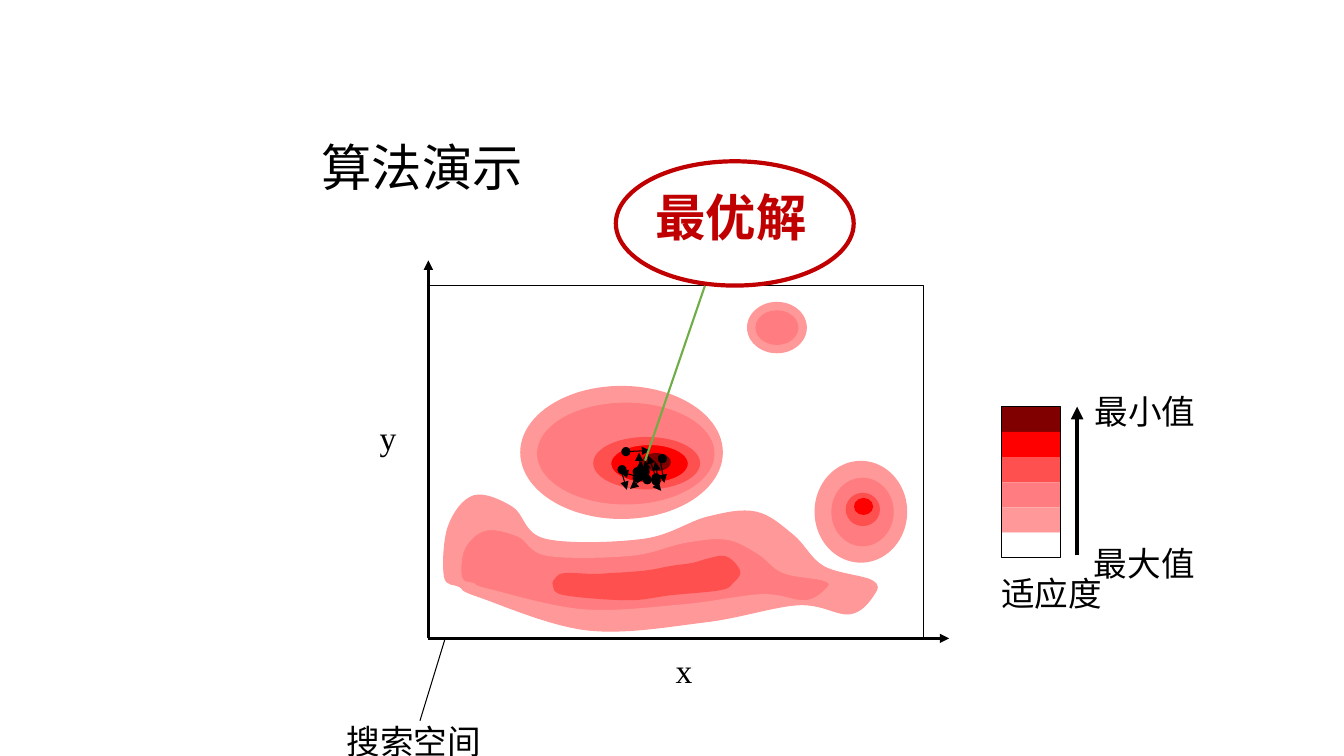
from dataclasses import dataclass
from typing import Optional

import pptx
import pptx.dml.color
import pptx.enum.shapes
import pptx.enum.text
import pptx.oxml
import pptx.oxml.ns
import pptx.util
from lxml import etree

Pt = pptx.util.Pt
RGB = pptx.dml.color.RGBColor
MSO = pptx.enum.shapes.MSO_SHAPE
ALIGN = pptx.enum.text.PP_ALIGN
qn = pptx.oxml.ns.qn

BLACK = RGB(0x00, 0x00, 0x00)
WHITE = RGB(0xFF, 0xFF, 0xFF)
MAROON = RGB(0x80, 0x00, 0x00)
RED = RGB(0xFF, 0x00, 0x00)
CORAL = RGB(0xFF, 0x50, 0x50)
SALMON = RGB(0xFF, 0x7C, 0x80)
PINK = RGB(0xFF, 0x99, 0x99)
CRIMSON = RGB(0xC0, 0x00, 0x00)
GREEN = RGB(0x70, 0xAD, 0x47)


@dataclass
class Box:
    x: float
    y: float
    w: float
    h: float
    fill: Optional[RGB] = None
    line: Optional[RGB] = None
    weight: float = 0.75
    kind: MSO = MSO.OVAL


@dataclass
class Line:
    x1: float
    y1: float
    x2: float
    y2: float
    weight: float = 0.75
    head: Optional[str] = "triangle"
    color: RGB = BLACK


@dataclass
class Label:
    text: str
    x: float
    y: float
    w: float
    h: float
    font: str = "Times New Roman"
    size: float = 24
    color: RGB = BLACK
    bold: bool = False
    wrap: bool = False
    align: ALIGN = ALIGN.LEFT


@dataclass
class Ridge:
    fill: RGB
    line: RGB
    knots: list[tuple[float, float]]


@dataclass
class Agent:
    dot: tuple[float, float]
    start: tuple[float, float]
    tip: tuple[float, float]


SEARCH_AREA = Box(306, 204, 354, 252, WHITE, BLACK, kind=MSO.RECTANGLE)
RIGHT_PEAK = [
    Box(581.8, 329.2, 66.2, 72.7, PINK),
    Box(593.8, 341.2, 44.6, 49, SALMON),
    Box(604.1, 352, 24.5, 23.8, CORAL),
    Box(610, 355.7, 13.7, 12.2, RED),
]
AXES = [Line(306, 456, 306, 186, 2.25), Line(306, 456, 678, 456, 2.25)]
TOP_PEAK = [
    Box(534, 216, 42, 36, PINK, PINK),
    Box(540, 222, 30, 24, SALMON, SALMON),
]
RIDGES = [
    Ridge(PINK, PINK, [
        (342, 426.2), (419.8, 450), (504, 444.2), (570.2, 432), (607, 438.5), (624.2, 424.8),
        (622.8, 414.7), (588.2, 404.6), (566.6, 382.3), (540, 365.8), (505.4, 369.4),
        (460.1, 385.2), (389.5, 385.2), (365.8, 362.2), (338.4, 354.2), (320.4, 375.8),
        (317.5, 411.8), (328.3, 419)]),
    Ridge(SALMON, PINK, [
        (349.9, 421.2), (416.9, 435.6), (488.2, 432), (544.3, 424.8), (575.3, 429.1),
        (590.4, 420.5), (589, 414.7), (559.4, 409), (541.4, 395.3), (519.1, 385.2),
        (489.6, 387.4), (450.7, 396.7), (391, 396.7), (370.1, 383), (347, 378.7),
        (331.9, 391.7), (329.8, 412.6), (338.4, 416.9)]),
    Ridge(CORAL, CORAL, [
        (403.2, 424.8), (448.6, 428.4), (479.5, 424.8), (514.8, 421.2), (523.4, 416.2),
        (528.5, 409), (523.4, 401), (516.2, 397.4), (504.7, 399.6), (494.6, 402.5),
        (479.5, 404.6), (464.4, 407.5), (449.3, 409), (436.3, 409.7), (424.1, 410.4),
        (403.9, 409.7), (397.4, 412.6), (395.3, 418.3)]),
]
MAIN_PEAK = [
    Box(372, 276, 144, 94.3, PINK, PINK),
    Box(384, 288, 126, 72, SALMON, SALMON),
    Box(424.1, 312.5, 75.6, 36.7, CORAL, CORAL),
    Box(436.3, 317.5, 55.4, 27.4, RED, CORAL),
    Box(458.6, 324, 20.2, 12.2, MAROON, MAROON),
]
DOT = 5.8
SWARM = [
    Agent((457.9, 334.1), (463.7, 340.6), (472.3, 350.6)),
    Agent((470.2, 324.7), (471.6, 328.3), (474.5, 344.9)),
    Agent((457.9, 337.7), (460.1, 340.6), (450, 349.2)),
    Agent((452.2, 338.4), (456.5, 342), (457.9, 329)),
    Agent((465.8, 340.6), (470.2, 343.4), (468, 329.8)),
    Agent((465.8, 338.4), (468.7, 341.3), (463, 325.4)),
    Agent((441.4, 332.6), (443.5, 335.5), (447.8, 349.9)),
    Agent((453.6, 337.7), (456.5, 340.6), (442.8, 337)),
    Agent((459.4, 339.8), (463, 342), (460.8, 329)),
    Agent((452.2, 334.1), (456.5, 336.2), (456.5, 323.3)),
    Agent((444.2, 319.7), (446.4, 322.6), (464.4, 321.8)),
]
LEGEND_COLORS = [MAROON, RED, CORAL, SALMON, PINK, WHITE]
LEGEND_X, LEGEND_Y, LEGEND_W, LEGEND_STEP = 715.6, 290.5, 42, 18
LABELS = [
    Label("适应度", 708.1, 405.7, 87.1, 36.7),
    Label("最大值", 774.3, 384.5, 87.1, 36.7),
    Label("最小值", 774.7, 275.8, 87.1, 36.7),
    Label("x", 475.5, 460.8, 26.6, 36),
    Label("y", 264.2, 294, 26.6, 36),
    Label("搜索空间", 239.8, 511.2, 111.6, 36.7, "Karla", align=ALIGN.CENTER),
]
OPTIMUM = Label("最优解", 461, 129.4, 140.4, 51.1, "Arial", 36, CRIMSON, True, True)


def paint(sp, fill: Optional[RGB], line: Optional[RGB], weight: float) -> None:
    sp.shadow.inherit = False
    for target, color in ((sp.fill, fill), (sp.line.fill, line)):
        if color is None:
            target.background()
        else:
            target.solid()
            target.fore_color.rgb = color
    if line is not None:
        sp.line.width = Pt(weight)


def add_box(s, b: Box) -> None:
    sp = s.shapes.add_shape(b.kind, Pt(b.x), Pt(b.y), Pt(b.w), Pt(b.h))
    paint(sp, b.fill, b.line, b.weight)


def add_line(s, ln: Line) -> None:
    cx = s.shapes.add_connector(pptx.enum.shapes.MSO_CONNECTOR.STRAIGHT,
                                Pt(ln.x1), Pt(ln.y1), Pt(ln.x2), Pt(ln.y2))
    cx.line.color.rgb = ln.color
    cx.line.width = Pt(ln.weight)
    spPr = cx.element.spPr
    if ln.head:
        etree.SubElement(spPr.find(qn("a:ln")), qn("a:tailEnd"), type=ln.head)
    etree.SubElement(spPr, qn("a:effectLst"))


def add_ridge(s, ridge: Ridge) -> None:
    """Draw a closed curve through the knots, each handle a sixth of the neighbours' span."""
    k, n = ridge.knots, len(ridge.knots)
    points = []
    for i in range(n):
        before, a, b, after = (k[(i + j) % n] for j in (-1, 0, 1, 2))
        leave = [p + (q - o) / 6 for o, p, q in zip(before, a, b)]
        arrive = [p - (q - o) / 6 for o, p, q in zip(a, b, after)]
        points += [(Pt(x), Pt(y)) for x, y in (leave, arrive, b)]
    fb = s.shapes.build_freeform(Pt(k[0][0]), Pt(k[0][1]))
    fb.add_line_segments(points, close=True)
    sp = fb.convert_to_shape()
    paint(sp, ridge.fill, ridge.line, 0.75)
    segments = list(sp.element.iter(qn("a:lnTo")))
    for i in range(0, len(segments), 3):
        curve = etree.Element(qn("a:cubicBezTo"))
        segments[i].addprevious(curve)
        for segment in segments[i:i + 3]:
            curve.append(segment[0])
            segment.getparent().remove(segment)


def add_run(p, lb: Label) -> None:
    r = p.add_run()
    r.text = lb.text
    r.font.name, r.font.size, r.font.bold = lb.font, Pt(lb.size), lb.bold
    r.font.color.rgb = lb.color
    p.alignment = lb.align


def add_label(s, lb: Label) -> None:
    tf = s.shapes.add_textbox(Pt(lb.x), Pt(lb.y), Pt(lb.w), Pt(lb.h)).text_frame
    tf.word_wrap = lb.wrap
    tf.auto_size = pptx.enum.text.MSO_AUTO_SIZE.SHAPE_TO_FIT_TEXT
    add_run(tf.paragraphs[0], lb)


def add_title(s, lb: Label) -> None:
    sp = s.shapes.title
    sp.left, sp.top, sp.width, sp.height = Pt(lb.x), Pt(lb.y), Pt(lb.w), Pt(lb.h)
    tf = sp.text_frame
    tf.vertical_anchor = pptx.enum.text.MSO_ANCHOR.BOTTOM
    tf.paragraphs[0].line_spacing = 0.9
    add_run(tf.paragraphs[0], lb)


def main() -> None:
    prs = pptx.Presentation()
    prs.slide_width, prs.slide_height = Pt(960), Pt(540)
    s = prs.slides.add_slide(prs.slide_layouts[5])
    add_title(s, Label("算法演示", 222.5, 29.4, 613.4, 115.2, "Arial", 36))
    for b in [SEARCH_AREA, *RIGHT_PEAK]:
        add_box(s, b)
    for axis in AXES:
        add_line(s, axis)
    for b in TOP_PEAK:
        add_box(s, b)
    for ridge in RIDGES:
        add_ridge(s, ridge)
    for b in MAIN_PEAK:
        add_box(s, b)
    for agent in SWARM:
        add_box(s, Box(*agent.dot, DOT, DOT, BLACK, BLACK))
        add_line(s, Line(*agent.start, *agent.tip))
    for i, color in enumerate(LEGEND_COLORS):
        add_box(s, Box(LEGEND_X, LEGEND_Y + i * LEGEND_STEP, LEGEND_W, LEGEND_STEP,
                       color, kind=MSO.RECTANGLE))
    add_box(s, Box(LEGEND_X, LEGEND_Y, LEGEND_W, LEGEND_STEP * len(LEGEND_COLORS),
                   line=BLACK, kind=MSO.RECTANGLE))
    add_line(s, Line(769.4, 396.7, 769.4, 290.5, 3))
    add_line(s, Line(318, 456, 300, 514.8, head=None))
    for lb in LABELS:
        add_label(s, lb)
    add_line(s, Line(460.8, 329, 509.8, 185.8, 1.5, "arrow", GREEN))
    add_box(s, Box(439.9, 115.2, 169.9, 88.8, WHITE, CRIMSON, 3))
    add_label(s, OPTIMUM)
    prs.save("out.pptx")


if __name__ == "__main__":
    main()
